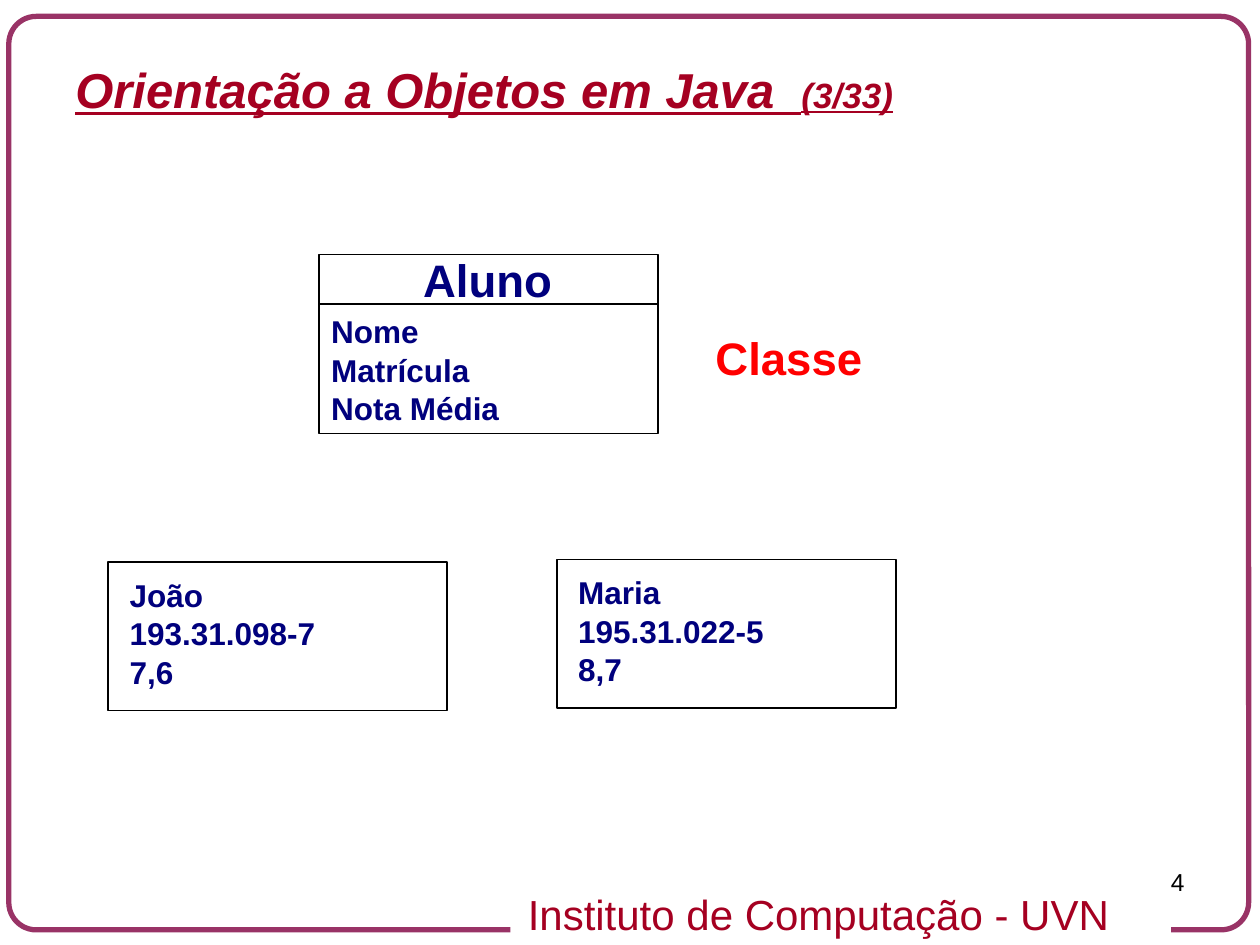
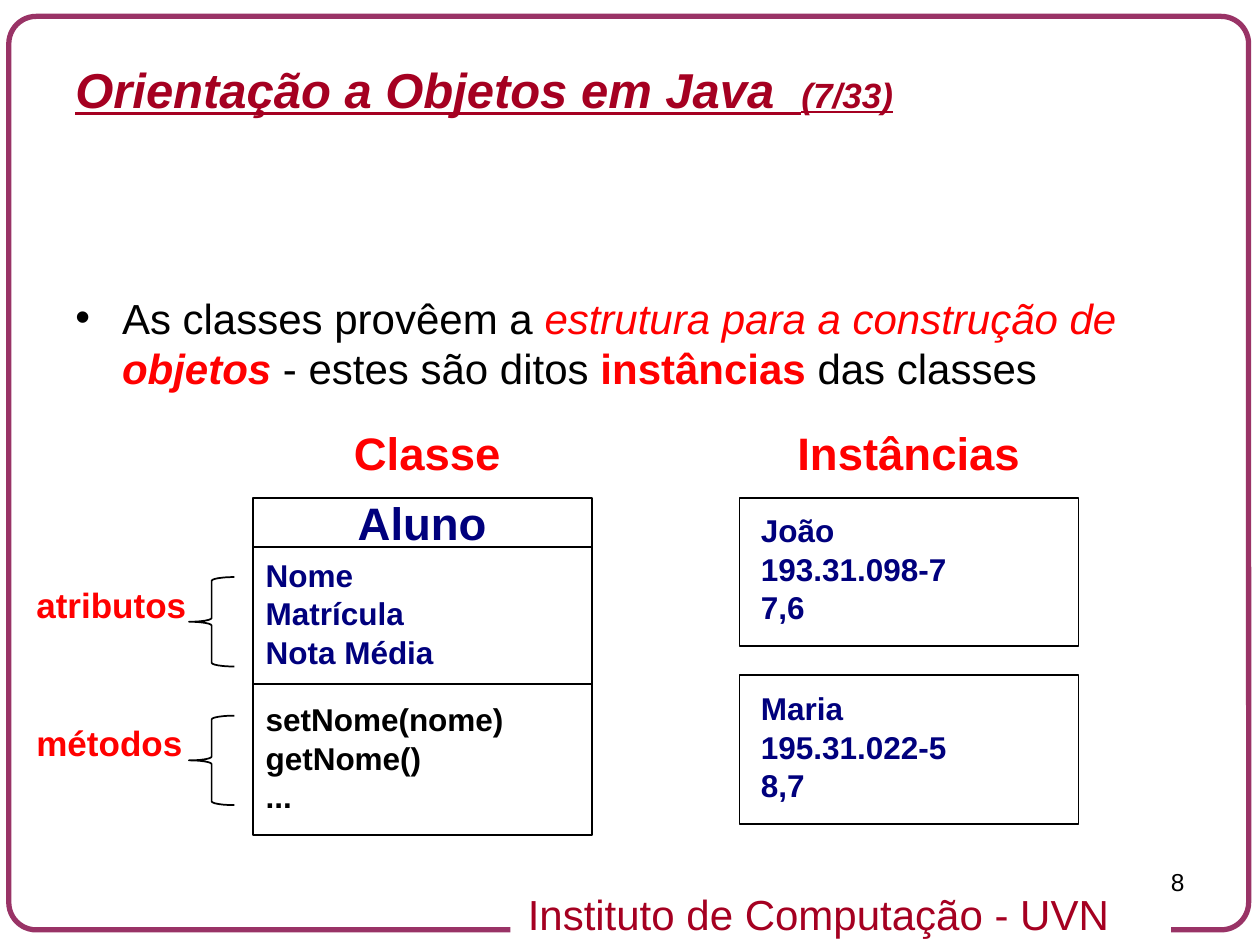
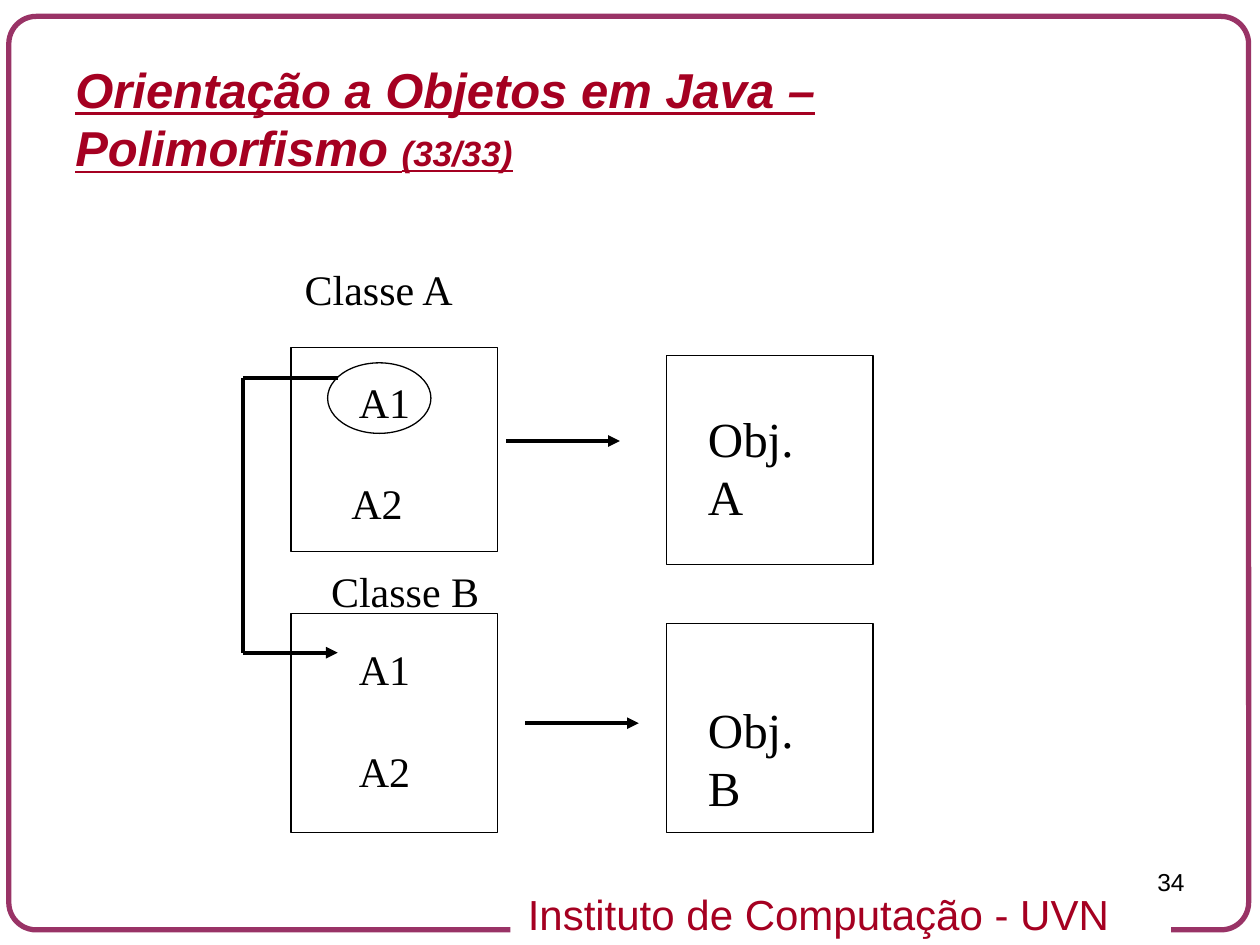
from dataclasses import dataclass

from lxml import etree
from pptx import Presentation
from pptx.dml.color import RGBColor
from pptx.enum.shapes import MSO_CONNECTOR, MSO_SHAPE
from pptx.enum.text import MSO_ANCHOR, MSO_AUTO_SIZE, PP_ALIGN
from pptx.oxml.ns import qn
from pptx.util import Inches, Pt

RECT = MSO_SHAPE.RECTANGLE
ROUND = MSO_SHAPE.ROUNDED_RECTANGLE
OVAL = MSO_SHAPE.OVAL
BRACE = MSO_SHAPE.LEFT_BRACE
LINE = MSO_CONNECTOR.STRAIGHT
LEFT, MID, RIGHT = PP_ALIGN.LEFT, PP_ALIGN.CENTER, PP_ALIGN.RIGHT
TOP = MSO_ANCHOR.TOP
GROW = MSO_AUTO_SIZE.SHAPE_TO_FIT_TEXT

SANS, SERIF = "Arial", "Times New Roman"
BLACK, WHITE, RED = "000000", "FFFFFF", "FF0000"
NAVY, WINE, PLUM = "00007D", "A50021", "993366"
CARD_W, CARD_H = 2.69, 1.18
THIN, FINE, THICK = 1, 0.75, 2.25


@dataclass(frozen=True)
class Run:
    text: str
    size: float
    color: str = BLACK
    bold: bool = False
    slant: bool = False
    under: bool = False
    font: str = SANS


@dataclass(frozen=True)
class Box:
    x: float
    y: float
    w: float
    h: float


@dataclass(frozen=True)
class Line:
    x1: float
    y1: float
    x2: float
    y2: float
    width: float
    color: str = BLACK
    arrow: bool = False


@dataclass(frozen=True)
class Record:
    x: float
    y: float
    rows: tuple[str, ...]


def paint(code: str) -> RGBColor:
    return RGBColor.from_string(code)


def fill_text(frame, rows: list[list[Run]], before: float = 0,
              space: float = 1, align=LEFT) -> None:
    frame.word_wrap = True
    frame.auto_size = GROW
    frame.vertical_anchor = TOP
    for i, row in enumerate(rows):
        para = frame.paragraphs[0] if i == 0 else frame.add_paragraph()
        para.alignment = align
        para.space_before = Pt(before)
        para.line_spacing = space
        for item in row:
            run = para.add_run()
            run.text = item.text
            font = run.font
            font.name, font.size = item.font, Pt(item.size)
            font.bold, font.italic = item.bold, item.slant
            font.underline = item.under
            font.color.rgb = paint(item.color)


def add_text(slide, box: Box, rows: list[list[Run]], before: float = 0,
             space: float = 1, align=LEFT):
    area = slide.shapes.add_textbox(Inches(box.x), Inches(box.y),
                                    Inches(box.w), Inches(box.h))
    fill_text(area.text_frame, rows, before, space, align)
    return area


def add_form(slide, kind, box: Box, width: float = THIN,
             color: str = BLACK):
    form = slide.shapes.add_shape(kind, Inches(box.x), Inches(box.y),
                                  Inches(box.w), Inches(box.h))
    form.shadow.inherit = False
    form.fill.background()
    form.line.color.rgb = paint(color)
    form.line.width = Pt(width)
    return form


def add_line(slide, line: Line) -> None:
    link = slide.shapes.add_connector(LINE, Inches(line.x1), Inches(line.y1),
                                      Inches(line.x2), Inches(line.y2))
    link.line.color.rgb = paint(line.color)
    link.line.width = Pt(line.width)
    props = link._element.spPr
    if line.arrow:
        etree.SubElement(props.find(qn("a:ln")), qn("a:tailEnd"),
                         type="triangle")
    etree.SubElement(props, qn("a:effectLst"))


def add_label(slide, x: float, y: float, text: str, size: float = 26,
              color: str = RED) -> None:
    add_text(slide, Box(x, y, CARD_W, size / 50), [[Run(text, size, color, True)]],
             size * 0.625)


def add_note(slide, x: float, y: float, text: str, size: float = 24,
             w: float = 2.24) -> None:
    add_text(slide, Box(x, y, w, 0.5), [[Run(text, size, font=SERIF)]],
             size * 0.625)


def add_rows(slide, x: float, y: float, rows: tuple[str, ...],
             color: str = NAVY) -> None:
    add_text(slide, Box(x, y, CARD_W, 0.87),
             [[Run(row, 18, color, True)] for row in rows], 11.2, 0.5)


def add_class(slide, x: float, y: float, high: float) -> None:
    add_form(slide, RECT, Box(x, y, CARD_W, high))
    add_label(slide, x + 0.73, y - 0.07, "Aluno", color=NAVY)
    add_rows(slide, x, y + 0.54, ("Nome", "Matrícula", "Nota Média"))
    add_line(slide, Line(x, y + 0.39, x + CARD_W, y + 0.39, THIN))


def add_record(slide, card: Record) -> None:
    add_form(slide, RECT, Box(card.x, card.y, CARD_W, CARD_H))
    add_rows(slide, card.x + 0.07, card.y + 0.19, card.rows)


def add_bullet(para) -> None:
    props = para._p.get_or_add_pPr()
    props.set("marL", str(Inches(0.37)))
    props.set("indent", str(-Inches(0.37)))
    tint = etree.SubElement(props, qn("a:buClr"))
    etree.SubElement(tint, qn("a:srgbClr"), val=BLACK)
    etree.SubElement(props, qn("a:buFont"), typeface=SANS)
    etree.SubElement(props, qn("a:buChar"), char="•")


def new_slide(deck, title: str, part: str, page: str):
    slide = deck.slides.add_slide(deck.slide_layouts[6])
    edge = add_form(slide, ROUND, Box(0.07, 0.13, 9.84, 7.25), 3, PLUM)
    edge.adjustments[0] = 0.03
    add_line(slide, Line(8.46, 7.37, 9.29, 7.37, 4.5, WHITE))
    band = add_form(slide, RECT, Box(4.05, 7, 4.89, 0.5))
    band.fill.solid()
    band.fill.fore_color.rgb = paint(WHITE)
    band.line.fill.background()
    fill_text(band.text_frame,
              [[Run("Instituto de Computação - UVN ", 24, WINE)]], 15, align=MID)
    add_text(slide, Box(7.17, 6.83, 2.33, 0.52), [[Run(page, 14)]], align=RIGHT)
    add_text(slide, Box(0.5, 0.42, 7.8, 0.57),
             [[Run(title, 28, WINE, True, True, True),
               Run(part, 20, WINE, True, True, True)]])
    return slide


TITLE = "Orientação a Objetos em Java "
JOHN = ("João", "193.31.098-7", "7,6")
MARY = ("Maria", "195.31.022-5", "8,7")


def draw_class(deck) -> None:
    slide = new_slide(deck, TITLE + " ", "(3/33)", "4")
    add_class(slide, 2.53, 2.02, 1.42)
    add_label(slide, 5.58, 2.57, "Classe")
    for card in (Record(0.86, 4.46, JOHN), Record(4.42, 4.44, MARY)):
        add_record(slide, card)


def draw_parts(deck) -> None:
    slide = new_slide(deck, TITLE + " ", "(7/33)", "8")
    body = add_text(slide, Box(0.5, 2.27, 9.15, 0.9), [[
        Run("As classes provêem a ", 24),
        Run("estrutura para a construção de ", 24, RED, slant=True),
        Run("objetos", 24, RED, True, True),
        Run(" - estes são ditos ", 24),
        Run("instâncias ", 24, RED, True),
        Run("das classes", 24)]], 6)
    add_bullet(body.text_frame.paragraphs[0])
    add_label(slide, 2.71, 3.32, "Classe")
    add_label(slide, 6.23, 3.32, "Instâncias")
    add_class(slide, 2.01, 3.95, 2.68)
    add_line(slide, Line(2.01, 5.43, 2.01 + CARD_W, 5.43, THIN))
    add_rows(slide, 2.01, 5.64, ("setNome(nome)", "getNome()", "..."), BLACK)
    for y, name in ((4.58, "atributos"), (5.68, "métodos")):
        add_form(slide, BRACE, Box(1.5, y, 0.36, 0.71))
        add_label(slide, 0.19, y, name, 20)
    for y, rows in ((3.95, JOHN), (5.36, MARY)):
        add_record(slide, Record(5.87, y, rows))


def draw_calls(deck) -> None:
    slide = new_slide(deck, TITLE + "– Polimorfismo ", "(33/33)", "34")
    for box in (Box(2.31, 2.76, 1.64, 1.62), Box(2.31, 4.87, 1.64, 1.74),
                Box(5.29, 2.82, 1.64, 1.66), Box(5.29, 4.95, 1.64, 1.66)):
        add_form(slide, RECT, box, FINE)
    add_form(slide, OVAL, Box(2.6, 2.88, 0.82, 0.56), FINE)
    for x, y, text in ((2.32, 2.04, "Classe A"), (2.53, 4.44, "Classe B"),
                       (2.75, 2.94, "A1"), (2.69, 3.74, "A2"),
                       (2.75, 5.06, "A1"), (2.75, 5.87, "A2")):
        add_note(slide, x, y, text)
    for y, text in ((3.19, "Obj. A"), (5.5, "Obj. B")):
        add_note(slide, 5.52, y, text, 28, 1.19)
    for line in (Line(2.68, 3, 1.93, 3, THICK),
                 Line(1.93, 3, 1.93, 5.18, THICK),
                 Line(1.93, 5.18, 2.68, 5.18, THICK, arrow=True),
                 Line(4.02, 3.5, 4.92, 3.5, THICK, arrow=True),
                 Line(4.17, 5.74, 5.07, 5.74, THICK, arrow=True)):
        add_line(slide, line)


def main() -> None:
    deck = Presentation()
    deck.slide_width, deck.slide_height = Inches(10), Inches(7.5)
    for draw in (draw_class, draw_parts, draw_calls):
        draw(deck)
    deck.save("out.pptx")


main()
